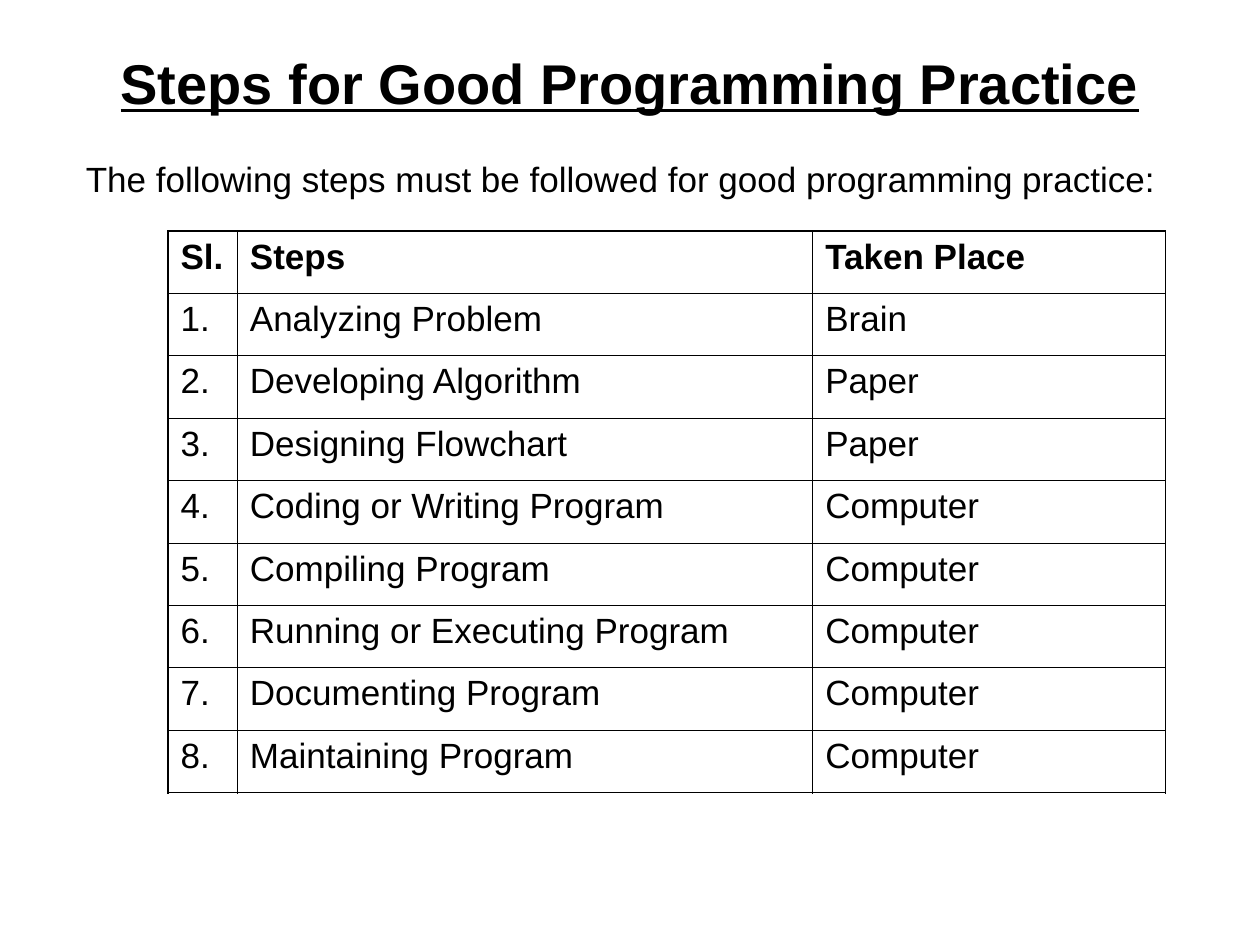
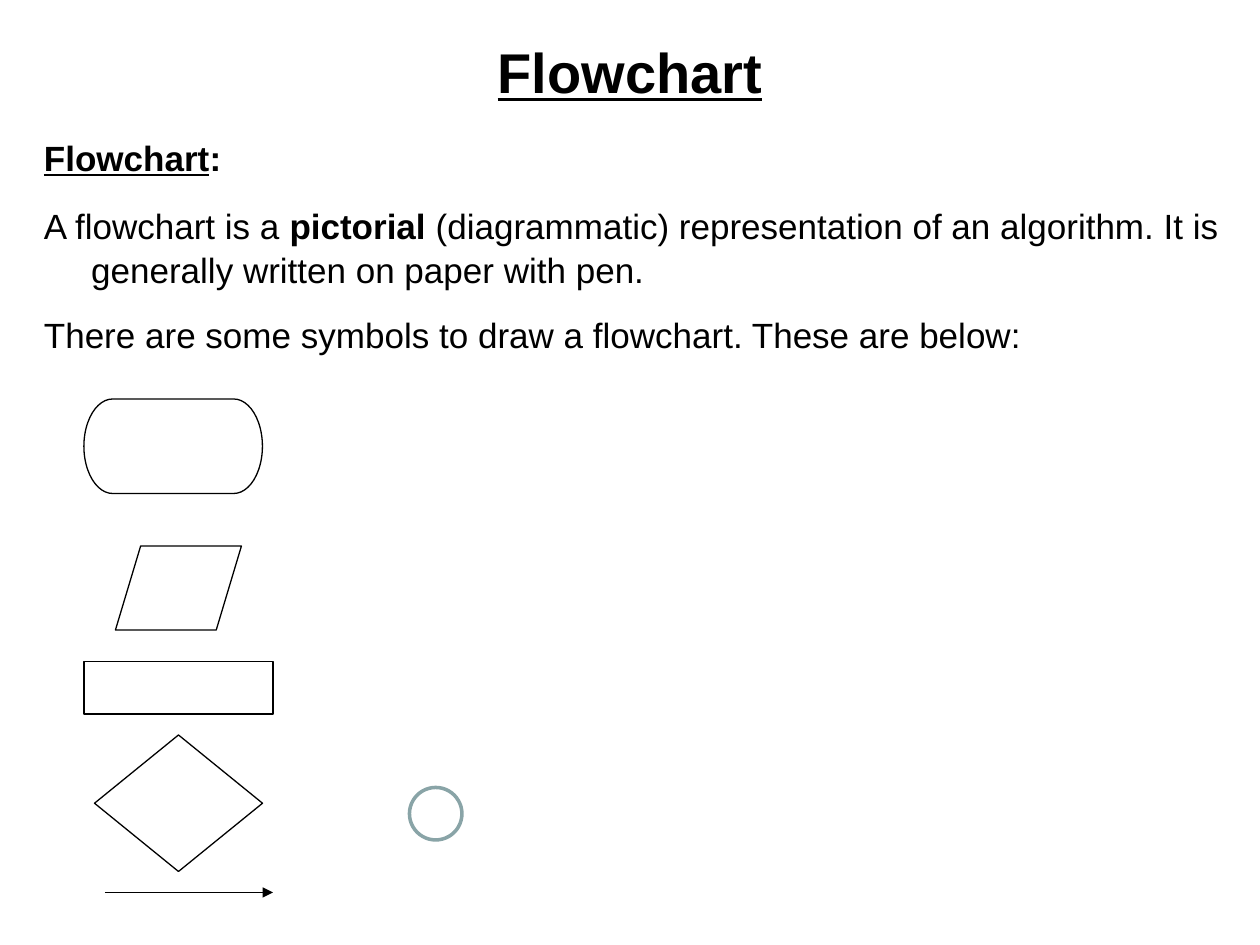
import dataclasses

import lxml.etree
import pptx
import pptx.dml.color
import pptx.enum.shapes
import pptx.enum.text
import pptx.oxml.ns
import pptx.util

PX = 7620  # 120 px to the inch


@dataclasses.dataclass(frozen=True)
class Theme:
    font: str = "Arial"
    ink: str = "000000"
    paper: str = "FFFFFF"
    ring: str = "89A4A7"
    head: int = 32
    body: int = 20
    thin: float = 0.45
    thick: float = 1.08
    line: float = 0.75
    bold: float = 2


look = Theme()
rgb = pptx.dml.color.RGBColor.from_string
pt = pptx.util.Pt
qn = pptx.oxml.ns.qn
kind = pptx.enum.shapes.MSO_SHAPE
middle = pptx.enum.text.MSO_ANCHOR.MIDDLE


def style(font, size, bold=False, under=False):
    font.name = look.font
    font.size = pt(size)
    font.bold = bold
    font.underline = under
    font.color.rgb = rgb(look.ink)


def edge(cell, side, width):
    """Draw one border of a cell; side is L, R, T or B."""
    line = lxml.etree.SubElement(cell._tc.get_or_add_tcPr(), qn("a:ln" + side), w=str(pt(width)))
    fill = lxml.etree.SubElement(line, qn("a:solidFill"))
    lxml.etree.SubElement(fill, qn("a:srgbClr"), val=look.ink)


deck = pptx.Presentation()
deck.slide_width = 1200 * PX
deck.slide_height = 900 * PX

# Both slides and their titles
pages = []
for text, left, top, width, height in (
    ("Steps for Good Programming Practice", 90, 17, 1020, 122),
    ("Flowchart", 60, 16, 1080, 104),
):
    page = deck.slides.add_slide(deck.slide_layouts[5])
    title = page.shapes.title
    title.left, title.top = left * PX, top * PX
    title.width, title.height = width * PX, height * PX
    frame = title.text_frame
    frame.text = text
    frame.vertical_anchor = middle
    frame.paragraphs[0].alignment = pptx.enum.text.PP_ALIGN.CENTER
    style(frame.paragraphs[0].runs[0].font, look.head, True, True)
    pages.append(page)
steps, flow = pages

# Slide 1: lead line and table of steps
lead = steps.shapes.add_textbox(70 * PX, 130 * PX, 1090 * PX, 80 * PX).text_frame
lead.word_wrap = True
lead.vertical_anchor = middle
lead.text = "The following steps must be followed for good programming practice:"
style(lead.paragraphs[0].runs[0].font, look.body)

places = (
    ("Analyzing Problem", "Brain"),
    ("Developing Algorithm", "Paper"),
    ("Designing Flowchart", "Paper"),
    ("Coding or Writing Program", "Computer"),
    ("Compiling Program", "Computer"),
    ("Running or Executing Program", "Computer"),
    ("Documenting Program", "Computer"),
    ("Maintaining Program", "Computer"),
)
rows = [("Sl.", "Steps", "Taken Place")]
rows += [(f"{num}.", step, place) for num, (step, place) in enumerate(places, 1)]
wide = (66, 548, 336)
grid = steps.shapes.add_table(
    len(rows), len(wide), 160 * PX, 220 * PX, sum(wide) * PX, 535 * PX
).table
grid.first_row = False
grid.horz_banding = False
for col, width in zip(grid.columns, wide):
    col.width = width * PX
for i, row in enumerate(rows):
    for j, text in enumerate(row):
        cell = grid.cell(i, j)
        cell.text = text
        style(cell.text_frame.paragraphs[0].runs[0].font, look.body, i == 0)
        outer = {"L": j == 0, "R": j == len(wide) - 1, "T": i == 0, "B": i == len(rows) - 1}
        for side, rim in outer.items():
            edge(cell, side, look.thick if rim else look.thin)
        cell.fill.background()

# Slide 2: definition; each run is (text, bold, underlined)
paras = (
    (0, [("Flowchart", True, True), (":", True, False)]),
    (13.5, [
        ("A flowchart is a ", False, False),
        ("pictorial", True, False),
        (" (diagrammatic) representation of an algorithm. "
         "It is generally written on paper with pen.", False, False),
    ]),
    (12, [("There are some symbols to draw a flowchart. These are below:", False, False)]),
)
note = flow.shapes.add_textbox(30 * PX, 120 * PX, 1170 * PX, 230 * PX).text_frame
note.word_wrap = True
note.margin_top = 8 * PX
for i, (gap, runs) in enumerate(paras):
    para = note.add_paragraph() if i else note.paragraphs[0]
    para.line_spacing = 1.05
    if gap:
        para.space_before = pt(gap)
    hang = para._p.get_or_add_pPr()
    hang.set("marL", str(45 * PX))
    hang.set("indent", str(-45 * PX))
    for text, bold, under in runs:
        run = para.add_run()
        run.text = text
        style(run.font, look.body, bold, under)

# Flowchart symbols
for form, left, top, width, height, fill, ink, line in (
    (kind.FLOWCHART_TERMINATOR, 80, 380, 170, 90, look.paper, look.ink, look.line),
    (kind.FLOWCHART_DATA, 110, 520, 120, 80, look.paper, look.ink, look.line),
    (kind.FLOWCHART_PROCESS, 80, 630, 180, 50, look.paper, look.ink, look.line),
    (kind.FLOWCHART_DECISION, 90, 700, 160, 130, look.paper, look.ink, look.line),
    (kind.OVAL, 390, 750, 50, 50, None, look.ring, look.bold),
):
    sign = flow.shapes.add_shape(form, left * PX, top * PX, width * PX, height * PX)
    sign.shadow.inherit = False
    if fill:
        sign.fill.solid()
        sign.fill.fore_color.rgb = rgb(fill)
    else:
        sign.fill.background()
    sign.line.color.rgb = rgb(ink)
    sign.line.width = pt(line)

arrow = flow.shapes.add_connector(
    pptx.enum.shapes.MSO_CONNECTOR.STRAIGHT, 100 * PX, 850 * PX, 260 * PX, 850 * PX
)
arrow.line.color.rgb = rgb(look.ink)
arrow.line.width = pt(look.line)
lxml.etree.SubElement(arrow.line._get_or_add_ln(), qn("a:tailEnd"), type="triangle")
lxml.etree.SubElement(arrow._element.spPr, qn("a:effectLst"))

deck.save("out.pptx")
